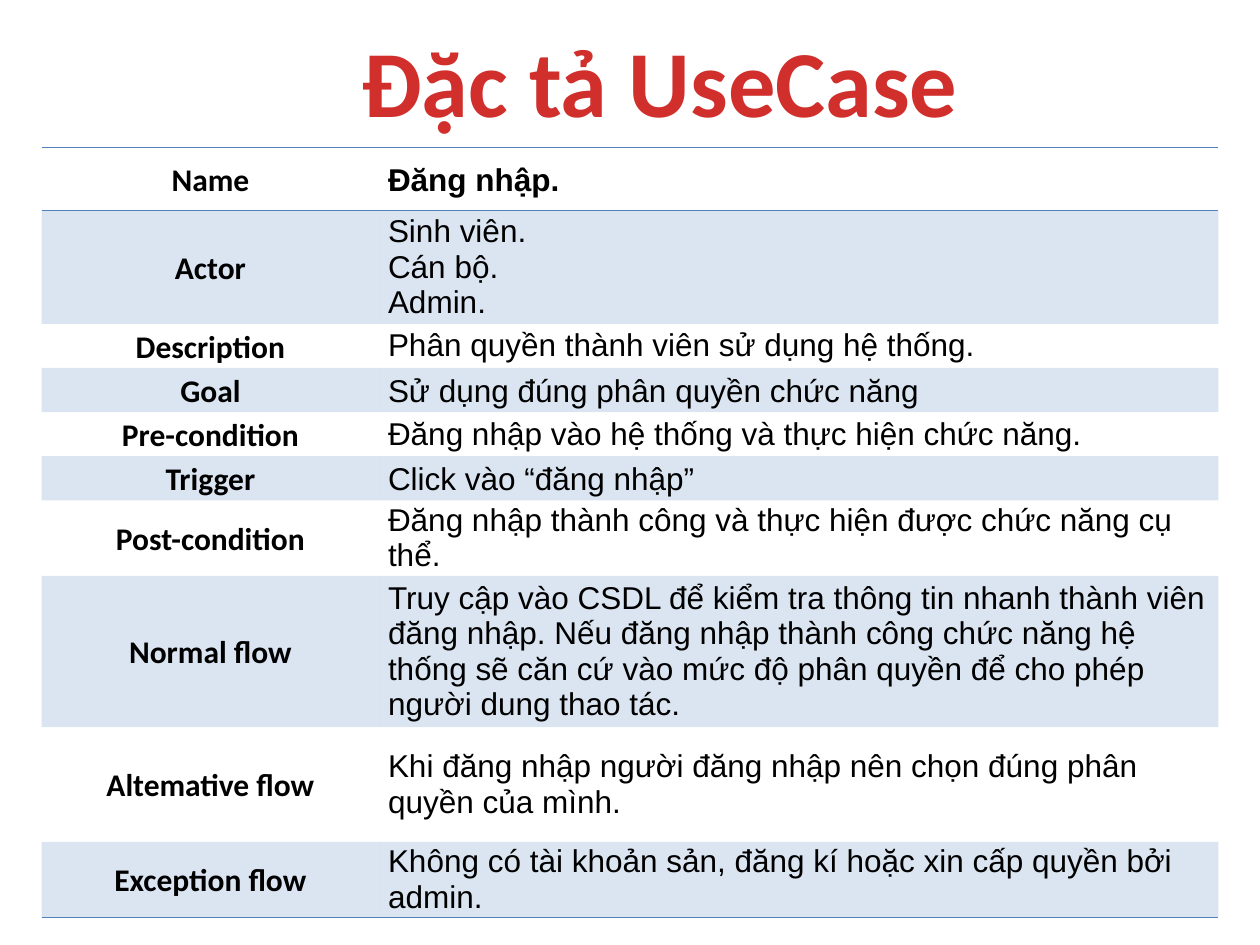
from lxml import etree
from pptx import Presentation
from pptx.dml.color import RGBColor
from pptx.enum import text
from pptx.oxml import ns
from pptx.util import Inches, Pt

COLORS = {"title": "D02F2C", "ink": "000000", "accent": "4F81BD"}
NO_STYLE_NO_GRID = "{2D5ABB26-0587-4C30-8999-92F81FD0307C}"

# label, lines of the description, row height, line spacing of the description
ROWS = [
    ("Name", ["Đăng nhập."], 0.5, 1.07),
    ("Actor", ["Sinh viên.", "Cán bộ.", "Admin."], 0.87, 1),
    ("Description", ["Phân quyền thành viên sử dụng hệ thống."], 0.35, 1),
    ("Goal", ["Sử dụng đúng phân quyền chức năng"], 0.35, 1.07),
    ("Pre-condition", ["Đăng nhập vào hệ thống và thực hiện chức năng."], 0.35, 1),
    ("Trigger", ["Click vào “đăng nhập”"], 0.35, 1.07),
    ("Post-condition",
     ["Đăng nhập thành công và thực hiện được chức năng cụ thể."], 0.58, 1),
    ("Normal flow",
     ["Truy cập vào CSDL để kiểm tra thông tin nhanh thành viên đăng nhập. "
      "Nếu đăng nhập thành công chức năng hệ thống sẽ căn cứ vào mức độ phân "
      "quyền để cho phép người dung thao tác."], 1.16, 1),
    ("Altemative flow",
     ["Khi đăng nhập người đăng nhập nên chọn đúng phân quyền của mình."], 0.91, 1),
    ("Exception flow",
     ["Không có tài khoản sản, đăng kí hoặc xin cấp quyền bởi admin."], 0.58, 1),
]


def style_font(font, name, size, bold, color):
    font.name = name
    font.size = Pt(size)
    font.bold = bold
    font.color.rgb = RGBColor.from_string(COLORS[color])


def add_border(cell, side):
    """Draw a thin accent line on one side; call before the cell is filled."""
    properties = cell._tc.get_or_add_tcPr()
    line = etree.SubElement(properties, ns.qn(f"a:{side}"), w=str(Pt(1)))
    fill = etree.SubElement(line, ns.qn("a:solidFill"))
    etree.SubElement(fill, ns.qn("a:srgbClr"), val=COLORS["accent"])


deck = Presentation()
deck.slide_width = Inches(10)
deck.slide_height = Inches(7.5)
page = deck.slides.add_slide(deck.slide_layouts[6])

title = page.shapes.add_textbox(Inches(1.36), Inches(0.17), Inches(7.75), Inches(0.92))
frame = title.text_frame
frame.word_wrap = True
frame.vertical_anchor = text.MSO_ANCHOR.MIDDLE
para = frame.paragraphs[0]
para.text = "Đặc tả UseCase"
para.alignment = text.PP_ALIGN.CENTER
style_font(para.font, "Calibri", 54, True, "title")

table_frame = page.shapes.add_table(
    len(ROWS), 2, Inches(0.33), Inches(1.17), Inches(9.33), Inches(6.03))
table = table_frame.table
table._tbl.tblPr.find(ns.qn("a:tableStyleId")).text = NO_STYLE_NO_GRID
table.columns[0].width = Inches(2.68)
table.columns[1].width = Inches(6.66)

for index, (label, lines, height, spacing) in enumerate(ROWS):
    table.rows[index].height = Inches(height)
    is_header = index == 0
    columns = [
        ([label], "Calibri", True, text.PP_ALIGN.CENTER, 1.07),
        (lines, "Arial", is_header, text.PP_ALIGN.LEFT, spacing),
    ]
    for column, (content, font_name, bold, align, line_spacing) in enumerate(columns):
        cell = table.cell(index, column)
        cell.vertical_anchor = text.MSO_ANCHOR.MIDDLE
        cell.margin_left = cell.margin_right = Inches(0.07)
        cell.margin_top = cell.margin_bottom = 0
        cell.text = "\n".join(content)
        for para in cell.text_frame.paragraphs:
            para.alignment = align
            para.line_spacing = line_spacing
            style_font(para.font, font_name, 18, bold, "ink")

        if is_header:
            add_border(cell, "lnT")
        if is_header or index == len(ROWS) - 1:
            add_border(cell, "lnB")
        if index % 2:
            cell.fill.solid()
            cell.fill.fore_color.rgb = RGBColor.from_string(COLORS["accent"])
            tint = cell._tc.tcPr.find(f"{ns.qn('a:solidFill')}/{ns.qn('a:srgbClr')}")
            etree.SubElement(tint, ns.qn("a:alpha"), val="20000")
        else:
            cell.fill.background()

deck.save("out.pptx")
